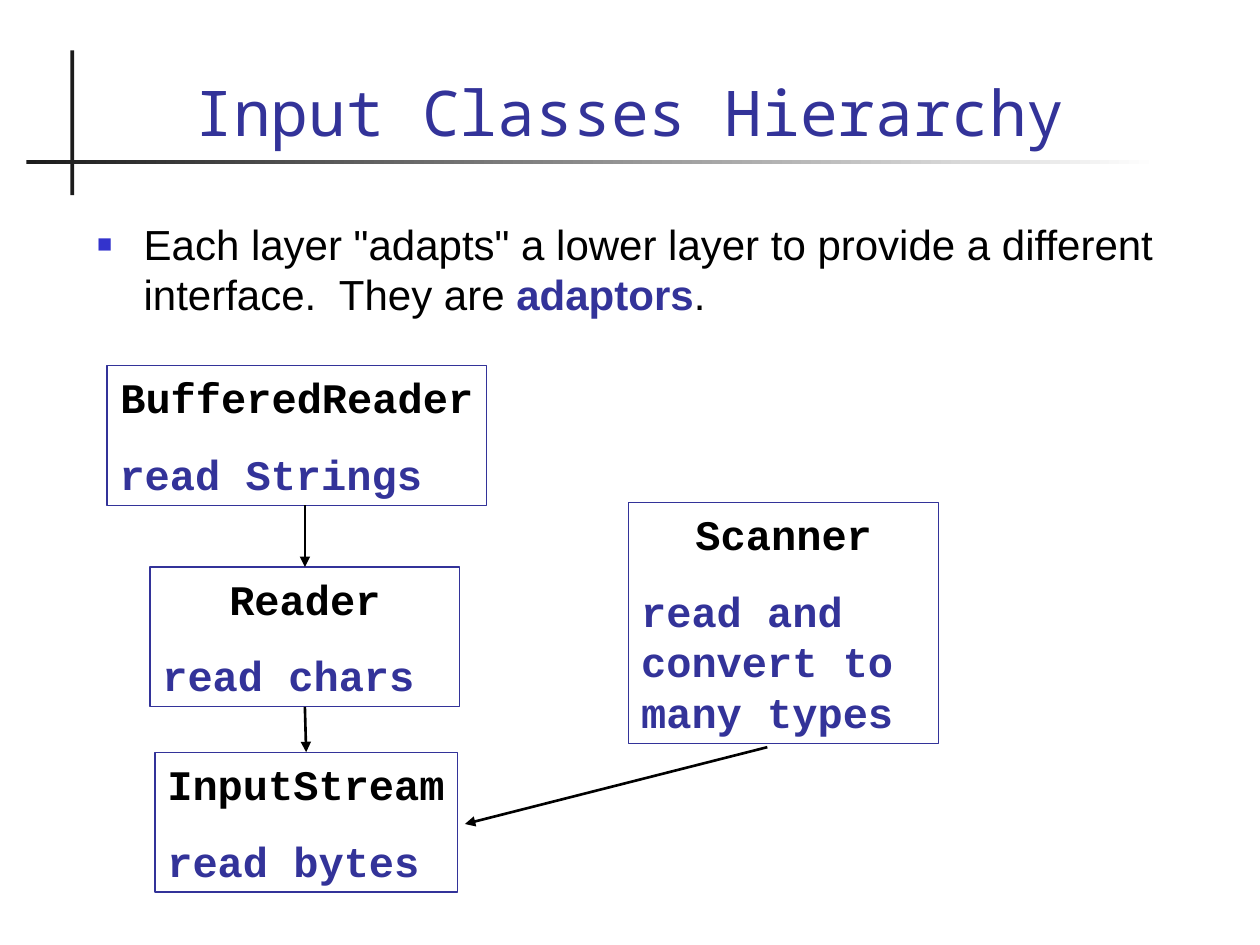
import pptx
import pptx.util
import pptx.dml.color
import pptx.enum.shapes
import pptx.enum.text
import pptx.oxml
import pptx.oxml.ns
import lxml.etree

Pt = pptx.util.Pt
ALIGN = pptx.enum.text.PP_ALIGN
ANCHOR = pptx.enum.text.MSO_ANCHOR
RECT = pptx.enum.shapes.MSO_SHAPE.RECTANGLE
WIDTH, HEIGHT = pptx.util.Inches(10), pptx.util.Inches(7.5)
NAVY, BLUE, DARK, BLACK, WHITE = "333399", "3333CC", "1C1C1C", "000000", "FFFFFF"
BOTTOM, TOP = 2, 0


def rgb(value):
    return pptx.dml.color.RGBColor.from_string(value)


def x(share):
    """Percent of the slide width."""
    return round(WIDTH * share / 100)


def y(share):
    """Percent of the slide height."""
    return round(HEIGHT * share / 100)


def place(sp, left, top, width, height):
    sp.left, sp.top, sp.width, sp.height = x(left), y(top), x(width), y(height)


def add_sub(parent, tag, **attrs):
    el = lxml.etree.SubElement(parent, pptx.oxml.ns.qn(tag))
    for name, value in attrs.items():
        el.set(name, value)
    return el


def style(r, font, size, color, bold=False):
    r.font.name, r.font.size, r.font.bold = font, Pt(size), bold
    r.font.color.rgb = rgb(color)


def add_rect(slide, area):
    sp = slide.shapes.add_shape(RECT, 0, 0, 0, 0)
    place(sp, *area)
    sp.shadow.inherit = False
    return sp


def add_rules(slide):
    """Crossed rules beside and under the title."""
    upright = add_rect(slide, (5.6, 5.33, 0.3, 15.33))
    upright.fill.solid()
    upright.fill.fore_color.rgb = rgb(DARK)
    upright.line.fill.background()

    fading = add_rect(slide, (2.1, 16.93, 89.9, 0.4))
    fading.fill.gradient()
    fading.fill.gradient_angle = 0
    for stop, color in zip(fading.fill.gradient_stops, (DARK, WHITE)):
        stop.color.rgb = rgb(color)
    fading.line.fill.background()


def set_title(sp, text):
    place(sp, 6.7, 3.73, 86.6, 12.67)
    tf = sp.text_frame
    tf.text = text
    tf.auto_size = pptx.enum.text.MSO_AUTO_SIZE.NONE
    tf.vertical_anchor = ANCHOR.BOTTOM
    tf.paragraphs[0].alignment = ALIGN.CENTER
    style(tf.paragraphs[0].runs[0], "Noto Sans Mono", 36, NAVY)


def set_body(sp, parts):
    """One bulleted paragraph made of (text, colour, bold) parts."""
    place(sp, 6.7, 22.53, 86.6, 13.73)
    tf = sp.text_frame
    tf.auto_size = pptx.enum.text.MSO_AUTO_SIZE.NONE
    p = tf.paragraphs[0]
    p.space_before, p.line_spacing = Pt(6), Pt(28.6)
    for text, color, bold in parts:
        r = p.add_run()
        r.text = text
        style(r, "Arial", 24, color, bold)
    # Small square bullet with a hanging indent
    pPr = p._p.get_or_add_pPr()
    pPr.set("marL", str(x(3.7)))
    pPr.set("indent", str(-x(3.7)))
    add_sub(add_sub(pPr, "a:buClr"), "a:srgbClr", val=BLUE)
    add_sub(pPr, "a:buSzPct", val="60000")
    add_sub(pPr, "a:buFont", typeface="Arial")
    add_sub(pPr, "a:buChar", char="■")


def add_class_box(slide, area, name, task, align=ALIGN.CENTER, wrap=True):
    sp = add_rect(slide, area)
    sp.fill.background()
    sp.line.color.rgb = rgb(NAVY)
    sp.line.width = Pt(0.75)
    tf = sp.text_frame
    tf.text = f"{name}\n{task}"
    tf.word_wrap = wrap
    tf.vertical_anchor = ANCHOR.TOP
    for p, color, side in zip(tf.paragraphs, (BLACK, NAVY), (align, ALIGN.LEFT)):
        p.alignment = side
        p.space_before, p.line_spacing = Pt(15), Pt(28.8)
        style(p.runs[0], "Courier New", 24, color, True)
    return sp


def add_arrow(slide, start, end):
    line = slide.shapes.add_connector(
        pptx.enum.shapes.MSO_CONNECTOR.STRAIGHT,
        x(start[0]), y(start[1]), x(end[0]), y(end[1]))
    line.line.color.rgb = rgb(BLACK)
    line.line.width = Pt(1.5)
    add_sub(line.line._get_or_add_ln(), "a:tailEnd", type="triangle")
    add_sub(line._element.spPr, "a:effectLst")
    return line


def main():
    prs = pptx.Presentation()
    prs.slide_width, prs.slide_height = WIDTH, HEIGHT
    slide = prs.slides.add_slide(prs.slide_layouts[1])

    # Heading and statement
    add_rules(slide)
    set_title(slide.shapes.title, "Input Classes Hierarchy")
    set_body(slide.placeholders[1], [
        ('Each layer "adapts" a lower layer to provide a different interface.  They are ',
         BLACK, False),
        ("adaptors", NAVY, True),
        (".", BLACK, False),
    ])

    # Class boxes
    stream = add_class_box(slide, (12.3, 79.6, 24, 14.8), "InputStream",
                           "read bytes", ALIGN.LEFT, wrap=False)
    reader = add_class_box(slide, (11.9, 60, 24.6, 14.8), "Reader", "read chars")
    add_class_box(slide, (8.5, 38.67, 30.1, 14.8), "BufferedReader", "read Strings")
    add_class_box(slide, (49.9, 53.2, 24.6, 25.47), "Scanner",
                  "read and convert to many types")

    # Arrows to the lower layers
    to_stream = add_arrow(slide, (24.4, 74.8), (24.5, 79.6))
    to_stream.begin_connect(reader, BOTTOM)
    to_stream.end_connect(stream, TOP)
    add_arrow(slide, (24.2, 53.47), (24.2, 60)).end_connect(reader, TOP)
    add_arrow(slide, (60.9, 79.07), (36.9, 87.2))

    prs.save("out.pptx")


if __name__ == "__main__":
    main()
